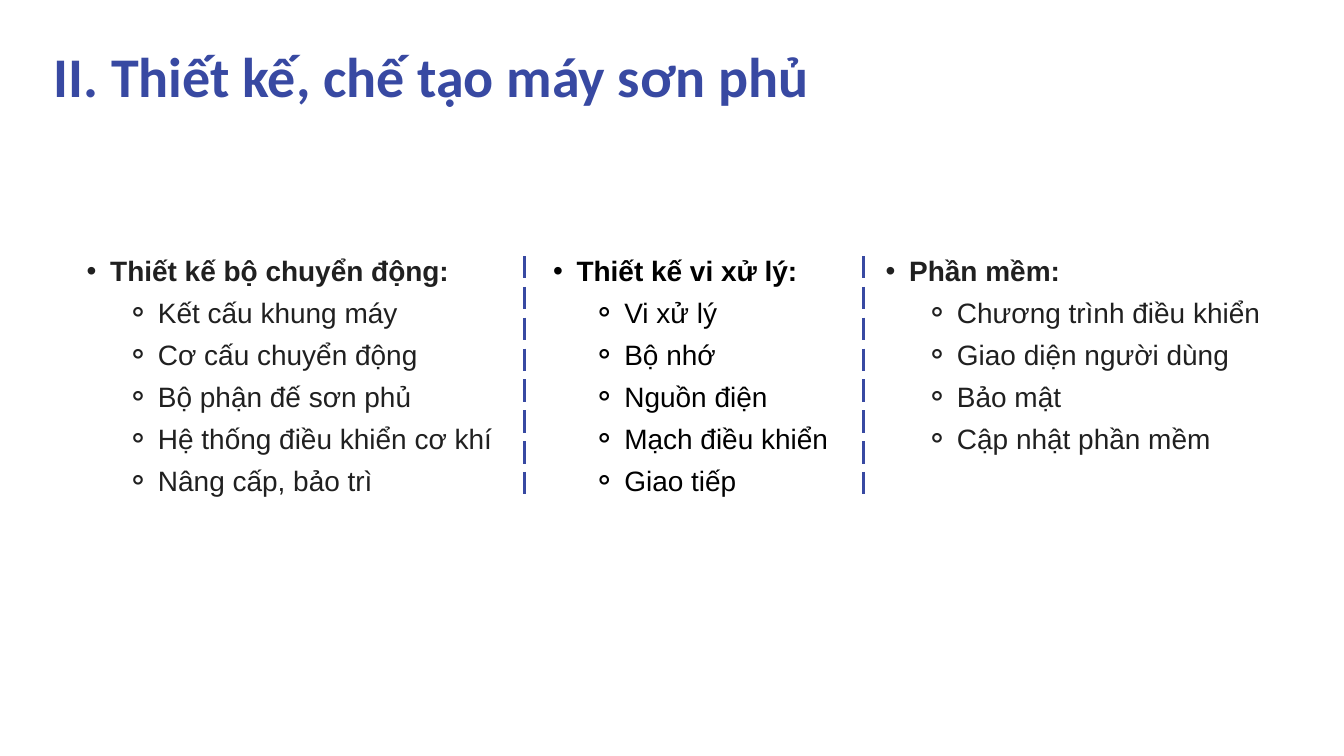
from lxml.etree import SubElement
from pptx import Presentation
from pptx.dml.color import RGBColor
from pptx.enum.dml import MSO_LINE
from pptx.enum.shapes import MSO_CONNECTOR
from pptx.enum.text import MSO_ANCHOR, MSO_AUTO_SIZE, PP_ALIGN
from pptx.oxml.ns import qn
from pptx.util import Inches, Pt

deck = Presentation()
deck.slide_width, deck.slide_height = Inches(20), Inches(11.25)

# Grid of 100 columns by 75 rows
COL = deck.slide_width / 100
ROW = deck.slide_height / 75
BLUE, DARK, BLACK = "3849A2", "202020", "000000"

slide = deck.slides.add_slide(deck.slide_layouts.get_by_name("Comparison"))
title, *bodies = slide.placeholders


def place(shape, left, top, width, height):
    shape.left, shape.top = round(left * COL), round(top * ROW)
    shape.width, shape.height = round(width * COL), round(height * ROW)
    frame = shape.text_frame
    frame.margin_left = frame.margin_right = 0
    frame.margin_top = frame.margin_bottom = 0
    frame.vertical_anchor = MSO_ANCHOR.TOP
    frame.auto_size = MSO_AUTO_SIZE.NONE
    frame.word_wrap = True
    return frame


def write(para, text, face="Arial", size=30, color=DARK, bold=False,
          align=PP_ALIGN.LEFT, lead=45, bullet=None, indent=(0, 0)):
    props = para._p.get_or_add_pPr()
    if bullet:
        props.set("marL", str(round(indent[0] * COL)))
        props.set("indent", str(round(indent[1] * COL)))
        SubElement(props, qn("a:buFont"), typeface="Arial")
        SubElement(props, qn("a:buChar"), char=bullet)
    para.alignment = align
    para.line_spacing = Pt(lead)
    para.space_before = Pt(0)
    run = para.add_run()
    run.text = text
    run.font.name, run.font.size, run.font.bold = face, Pt(size), bold
    run.font.color.rgb = RGBColor.from_string(color)


# Title
frame = place(title, 4, 3.6, 88.15, 7.2)
write(frame.paragraphs[0], "II. Thiết kế, chế tạo máy sơn phủ",
      face="Calibri", size=60, color=BLUE, bold=True, lead=78)

# Three lists: left, width, height, colour, alignment, heading, items
lists = [
    (4.65, 32.25, 29.5, DARK, PP_ALIGN.JUSTIFY, "Thiết kế bộ chuyển động:",
     ["Kết cấu khung máy", "Cơ cấu chuyển động", "Bộ phận đế sơn phủ",
      "Hệ thống điều khiển cơ khí", "Nâng cấp, bảo trì"]),
    (39.35, 22.35, 25.25, BLACK, PP_ALIGN.LEFT, "Thiết kế vi xử lý:",
     ["Vi xử lý", "Bộ nhớ", "Nguồn điện", "Mạch điều khiển", "Giao tiếp"]),
    (64.1, 29.75, 21.15, DARK, PP_ALIGN.JUSTIFY, "Phần mềm:",
     ["Chương trình điều khiển", "Giao diện người dùng", "Bảo mật",
      "Cập nhật phần mềm"]),
]
for body, (left, width, height, color, align, head, items) in zip(bodies, lists):
    frame = place(body, left, 24.33, width, height)
    para = frame.paragraphs[0]
    para.level = 1
    write(para, head, color=color, bold=True, align=align,
          bullet="•", indent=(3.55, -1.75))
    for item in items:
        para = frame.add_paragraph()
        para.level = 2
        write(para, item, color=color, align=align,
              bullet="⚬", indent=(7.1, -2.35))

# Drop the unused placeholder
spare = bodies[-1].element
spare.getparent().remove(spare)

# Dashed dividers
for left in (39.05, 64.25):
    x = round(left * COL)
    rule = slide.shapes.add_connector(
        MSO_CONNECTOR.STRAIGHT, x, round(25.4 * ROW), x, round(49.6 * ROW))
    rule.line.color.rgb = RGBColor.from_string(BLUE)
    rule.line.width = Pt(3)
    rule.line.dash_style = MSO_LINE.LONG_DASH
    SubElement(rule.element.spPr, qn("a:effectLst"))

deck.save("out.pptx")
